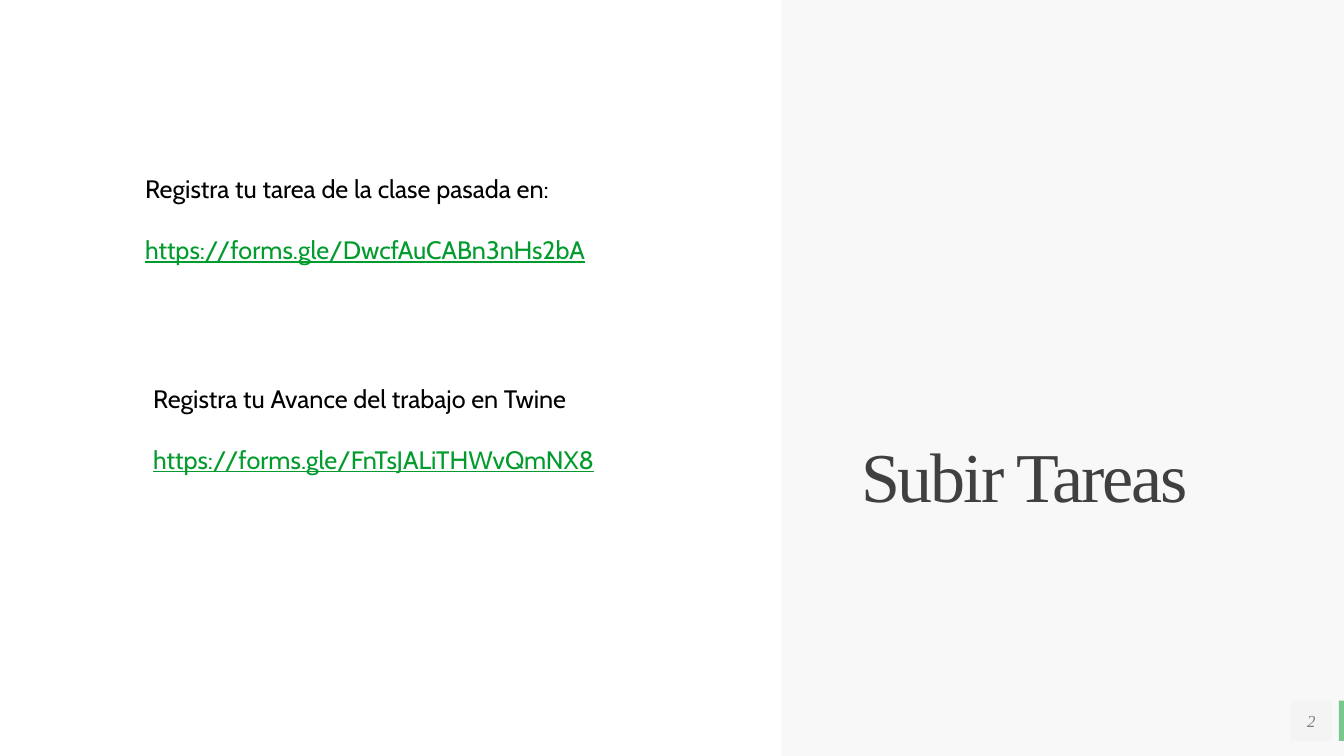
from dataclasses import dataclass

from lxml import etree
from pptx import Presentation
from pptx.dml.color import RGBColor
from pptx.enum.shapes import MSO_SHAPE
from pptx.enum.text import MSO_ANCHOR, MSO_AUTO_SIZE, PP_ALIGN
from pptx.oxml.ns import qn
from pptx.shapes.autoshape import Shape
from pptx.slide import Slide
from pptx.text.text import Font
from pptx.util import Inches, Pt

RECTANGLE = MSO_SHAPE.RECTANGLE
BOTTOM, MIDDLE = MSO_ANCHOR.BOTTOM, MSO_ANCHOR.MIDDLE
LEFT, CENTER = PP_ALIGN.LEFT, PP_ALIGN.CENTER
NO_AUTOFIT = MSO_AUTO_SIZE.NONE
TITLE_ONLY_LAYOUT = 5

COLORS = {
    "green": "029B2D",
    "panel": "F2F2F2",
    "title": "404040",
    "number": "808080",
    "text": "000000",
}
SERIF = "Times New Roman"
SANS = "Cabin"


@dataclass(frozen=True)
class Box:
    left: float
    top: float
    width: float
    height: float


@dataclass(frozen=True)
class Assignment:
    box: Box
    prompt: str
    address: str


ACCENT_BAR = Box(13.28, 6.95, 0.05, 0.4)
TITLE_PANEL = Box(7.75, 0, 5.58, 7.5)
NUMBER_PANEL = Box(12.8, 6.95, 0.41, 0.4)
ASSIGNMENTS = [
    Assignment(
        Box(1.34, 1.67, 6.75, 1.31),
        "Registra tu tarea de la clase pasada en:",
        "https://forms.gle/DwcfAuCABn3nHs2bA",
    ),
    Assignment(
        Box(1.42, 3.75, 6.66, 1.01),
        "Registra tu Avance del trabajo en Twine",
        "https://forms.gle/FnTsJALiTHWvQmNX8",
    ),
]


def lengths(box: Box) -> list[Inches]:
    return [Inches(value) for value in (box.left, box.top, box.width, box.height)]


def style_font(font: Font, name: str, size: float, color: str) -> None:
    font.name = name
    font.size = Pt(size)
    font.color.rgb = RGBColor.from_string(COLORS[color])


def fill_shape(shape: Shape, color: str, opacity: int = 100) -> None:
    shape.fill.solid()
    shape.fill.fore_color.rgb = RGBColor.from_string(COLORS[color])
    if opacity < 100:
        tint = shape.fill._xPr.find(".//" + qn("a:srgbClr"))
        etree.SubElement(tint, qn("a:alpha")).set("val", str(opacity * 1000))
    shape.line.fill.background()


def set_margins(shape: Shape, left: float, top: float, right: float, bottom: float) -> None:
    frame = shape.text_frame
    frame.margin_left, frame.margin_top = Inches(left), Inches(top)
    frame.margin_right, frame.margin_bottom = Inches(right), Inches(bottom)


def add_rectangle(slide: Slide, box: Box, color: str, opacity: int = 100) -> Shape:
    shape = slide.shapes.add_shape(RECTANGLE, *lengths(box))
    shape.shadow.inherit = False
    fill_shape(shape, color, opacity)
    return shape


def add_title(slide: Slide, text: str) -> None:
    title = slide.shapes.title
    title.left, title.top, title.width, title.height = lengths(TITLE_PANEL)
    slide.shapes._spTree.append(title._element)
    fill_shape(title, "panel", 50)
    set_margins(title, 0.79, 0, 0.12, 2.36)
    frame = title.text_frame
    frame.word_wrap = True
    frame.auto_size = NO_AUTOFIT
    frame.vertical_anchor = BOTTOM
    paragraph = frame.paragraphs[0]
    paragraph.alignment = LEFT
    paragraph.line_spacing = 0.9
    run = paragraph.add_run()
    run.text = text
    style_font(paragraph.font, SERIF, 50, "title")
    run._r.get_or_add_rPr().set("spc", "-150")


def add_slide_number(slide: Slide, number: str) -> None:
    shape = add_rectangle(slide, NUMBER_PANEL, "panel", 50)
    set_margins(shape, 0, 0, 0, 0)
    shape.text_frame.vertical_anchor = MIDDLE
    paragraph = shape.text_frame.paragraphs[0]
    paragraph.text = number
    paragraph.alignment = CENTER
    style_font(paragraph.font, SERIF, 12, "number")
    paragraph.font.italic = True


def add_assignment(slide: Slide, assignment: Assignment) -> None:
    frame = slide.shapes.add_textbox(*lengths(assignment.box)).text_frame
    frame.word_wrap = True
    prompt = frame.paragraphs[0]
    prompt.text = assignment.prompt
    style_font(prompt.font, SANS, 18, "text")
    address = frame.add_paragraph()
    address.text = assignment.address
    address.space_before = Pt(22)
    style_font(address.font, SANS, 18, "green")
    address.font.underline = True


def main() -> None:
    presentation = Presentation()
    presentation.slide_width = Inches(13.33)
    presentation.slide_height = Inches(7.5)
    slide = presentation.slides.add_slide(presentation.slide_layouts[TITLE_ONLY_LAYOUT])
    add_rectangle(slide, ACCENT_BAR, "green")
    add_title(slide, "Subir Tareas")
    add_slide_number(slide, "2")
    for assignment in ASSIGNMENTS:
        add_assignment(slide, assignment)
    presentation.save("out.pptx")


if __name__ == "__main__":
    main()
